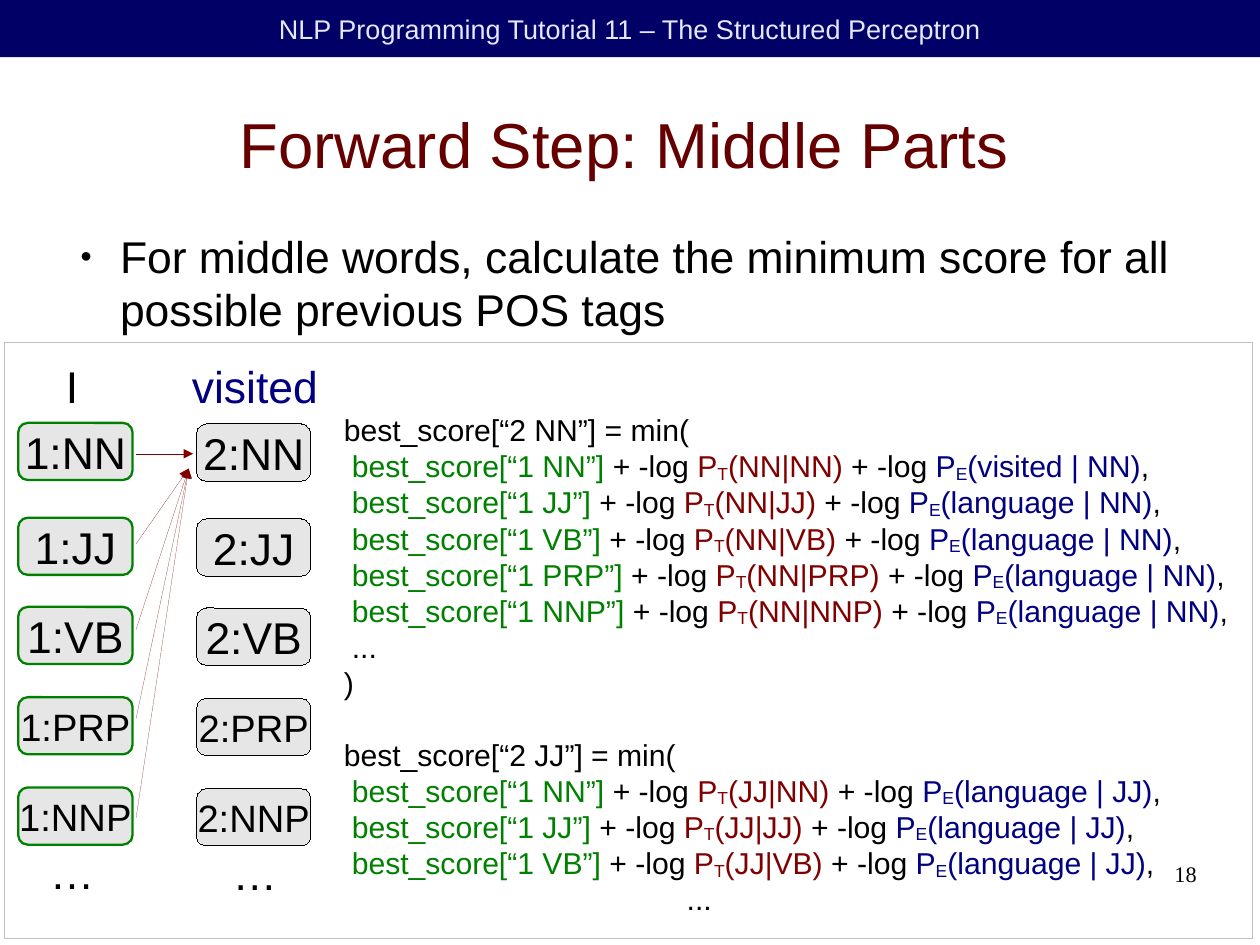
"""Build the slide on the middle parts of the Viterbi forward step."""
import pptx
import pptx.util
import pptx.dml.color
import pptx.enum.shapes
import pptx.enum.text
import pptx.oxml.ns
import lxml.etree

HEADER = "NLP Programming Tutorial 11 – The Structured Perceptron"
TITLE = "Forward Step: Middle Parts"
BULLET = "For middle words, calculate the minimum score for all possible previous POS tags"
PAGE = "18"
ROWS = [("NN", 28, 3.7, 3.97), ("JJ", 28, 4.53, 4.76), ("VB", 28, 5.31, 5.51),
        ("PRP", 24, 6.1, 6.29), ("NNP", 24, 6.89, 7.16)]
COLUMNS = [dict(word="I", step=1, left=0.16, drop=0, centre=0.63, color="black", line="green", width=1.45),
           dict(word="visited", step=2, left=1.72, drop=0.01, centre=2.23, color="navy", line="black", width=0)]
FORMULAS = [
    dict(top=3.55, height=2.88, tag="NN", end=[(0.07, "..."), (0, ")")],
         terms=[("NN", "visited"), ("JJ", "language"), ("VB", "language"),
                ("PRP", "language"), ("NNP", "language")]),
    dict(top=6.39, height=1.83, tag="JJ", end=[(3, "...")],
         terms=[("NN", "language"), ("JJ", "language"), ("VB", "language")]),
]
COLORS = dict(black="000000", navy="000080", green="008000", maroon="800000", title="660000",
              band="000066", pale="E6E6FF", node="E6E6E6", frame="C0C0C0")
WIDTH, HEIGHT = pptx.util.Cm(28), pptx.util.Cm(21)
NODE_W, NODE_H = 1, 0.5
INSET = (0.1, 0.05)
ALIGN = pptx.enum.text.PP_ALIGN
SHAPE = pptx.enum.shapes.MSO_SHAPE
MIDDLE = pptx.enum.text.MSO_ANCHOR.MIDDLE
inch = pptx.util.Inches


def rgb(name):
    return pptx.dml.color.RGBColor.from_string(COLORS[name])


def add_xml(parent, tag, **attrs):
    return lxml.etree.SubElement(parent, pptx.oxml.ns.qn(tag), attrs)


def set_line(sp, color, width=0):
    sp.line.color.rgb = rgb(color)
    ln = sp.line._get_or_add_ln()
    ln.set("w", str(pptx.util.Pt(width)))
    return ln


def set_frame(sp, inset=INSET, wrap=True, anchor=pptx.enum.text.MSO_ANCHOR.TOP):
    tf = sp.text_frame
    formats = dict(margin_left=inch(inset[0]), margin_right=inch(inset[0]), margin_top=inch(inset[1]),
                   margin_bottom=inch(inset[1]), word_wrap=wrap, vertical_anchor=anchor)
    for key, value in formats.items():
        setattr(tf, key, value)
    return tf


def add_run(p, text, size, color="black", font="Arial", subscript=False):
    r = p.add_run()
    r.text = text
    for key, value in dict(size=pptx.util.Pt(size), name=font, bold=False).items():
        setattr(r.font, key, value)
    r.font.color.rgb = rgb(color)
    if subscript:
        r.font._element.set("baseline", "-8000")


def write(tf, text, size, color="black", align=ALIGN.CENTER, font="Arial"):
    p = tf.paragraphs[0]
    p.alignment = align
    add_run(p, text, size, color, font)
    return p


def add_box(kind, at, fill=None, line=None, width=0):
    sp = slide.shapes.add_shape(kind, *map(inch, at))
    sp.shadow.inherit = False
    if fill:
        sp.fill.solid()
        sp.fill.fore_color.rgb = rgb(fill)
    else:
        sp.fill.background()
    if line:
        set_line(sp, line, width)
    else:
        sp.line.fill.background()
    return sp


def add_text(at, **frame):
    return set_frame(slide.shapes.add_textbox(*map(inch, at)), **frame)


def add_arrow(start, end):
    sp = slide.shapes.add_connector(pptx.enum.shapes.MSO_CONNECTOR.STRAIGHT, *map(inch, start + end))
    add_xml(set_line(sp, "maroon"), "a:tailEnd", type="triangle")
    add_xml(sp._element.spPr, "a:effectLst")


def add_formula(top, height, tag, terms, end):
    tf = add_text((2.91, top, 8.05, height))
    lines = [(0, [(f"best_score[“2 {tag}”] = min(", "black")])]
    for previous, word in terms:
        lines.append((0.07, [
            (f"best_score[“1 {previous}”]", "green"), (" + -log ", "black"),
            ("P", "maroon"), ("T", "maroon", True), (f"({tag}|{previous})", "maroon"), (" + -log ", "black"),
            ("P", "navy"), ("E", "navy", True), (f"({word} | {tag})", "navy"), (",", "black")]))
    lines += [(indent, [(text, "black")]) for indent, text in end]
    for i, (indent, runs) in enumerate(lines):
        p = tf.add_paragraph() if i else tf.paragraphs[0]
        p._p.get_or_add_pPr().set("marL", str(inch(indent)))
        for text, color, *subscript in runs:
            add_run(p, text, 19, color, subscript=bool(subscript))


prs = pptx.Presentation()
prs.slide_width = WIDTH
prs.slide_height = HEIGHT
slide = prs.slides.add_slide(prs.slide_layouts[5])

band = add_box(SHAPE.RECTANGLE, (0, 0, WIDTH.inches, 0.5), "band")
write(set_frame(band, anchor=MIDDLE), HEADER, 17, "pale")

title = slide.shapes.title
for key, value in dict(left=0.5, top=0.62, width=9.92, height=1.27).items():
    setattr(title, key, inch(value))
write(set_frame(title, inset=(0, 0), anchor=MIDDLE), TITLE, 40, "title")

p = write(add_text((0.58, 2, 9.92, 0.98), inset=(0, 0)), BULLET, 28, align=ALIGN.LEFT)
pPr = p._p.get_or_add_pPr()
pPr.set("marL", str(inch(0.47)))
pPr.set("indent", str(inch(-0.35)))
add_xml(pPr, "a:buSzPct", val="45000")
add_xml(pPr, "a:buFont", typeface="Arial")
add_xml(pPr, "a:buChar", char="●")

for col in COLUMNS:
    for text, top, color in [(col["word"], 3.09, col["color"]), ("…", 7.34 + col["drop"], "black")]:
        write(add_text((col["centre"] - 0.65, top, 1.3, 0.53), wrap=False), text, 28, color)
    for tag, size, top, _ in ROWS:
        at = (col["left"], top + col["drop"], NODE_W, NODE_H)
        node = add_box(SHAPE.ROUNDED_RECTANGLE, at, "node", col["line"], col["width"])
        write(set_frame(node, wrap=False, anchor=MIDDLE), f"{col['step']}:{tag}", size)

for i, (_, _, _, start) in enumerate(ROWS):
    add_arrow((1.19, start), (1.65, 4.1) if i else (1.69, start))

add_box(SHAPE.RECTANGLE, (0.04, 3, 10.92, 5.21), line="frame")

for formula in FORMULAS:
    add_formula(**formula)

write(add_text((7.9, 7.53, 2.57, 0.57), inset=(0, 0)), PAGE, 14, align=ALIGN.RIGHT, font="Times New Roman")

prs.save("out.pptx")
